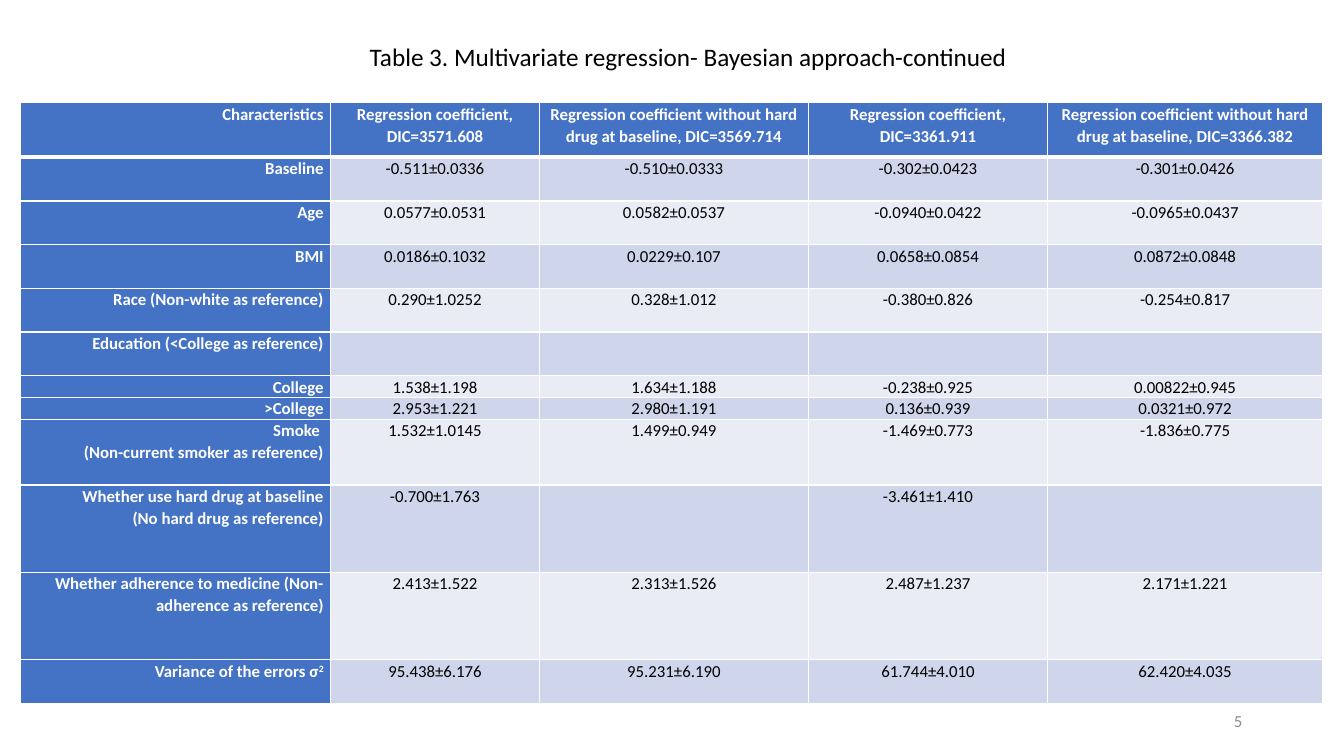
from typing import NamedTuple

from lxml.etree import SubElement
from pptx import Presentation
from pptx.dml.color import RGBColor
from pptx.enum.text import MSO_ANCHOR, MSO_AUTO_SIZE, PP_ALIGN as Align
from pptx.oxml.ns import qn
from pptx.table import Table, _Cell as Cell
from pptx.text.text import TextFrame
from pptx.util import Inches, Pt

WHITE = RGBColor(0xFF, 0xFF, 0xFF)
BLACK = RGBColor(0x00, 0x00, 0x00)
GRAY = RGBColor(0x8C, 0x8C, 0x8C)
BLUE = RGBColor(0x44, 0x72, 0xC4)
BANDS = RGBColor(0xCF, 0xD5, 0xEA), RGBColor(0xE9, 0xEB, 0xF5)

FONT = "Calibri"
COL_WIDTHS = 3.08, 2.07, 2.67, 2.37, 2.73
HEADER_HEIGHT, BODY_HEIGHT = 0.54, 5.42


class Row(NamedTuple):
    """A characteristic, its height in text lines and its coefficients."""
    label: str
    lines: int
    values: tuple[str, ...]


HEADERS = (
    "Characteristics",
    "Regression coefficient, DIC=3571.608",
    "Regression coefficient without hard drug at baseline, DIC=3569.714",
    "Regression coefficient, DIC=3361.911",
    "Regression coefficient without hard drug at baseline, DIC=3366.382",
)
ROWS = (
    Row("Baseline", 2, ("-0.511±0.0336", "-0.510±0.0333", "-0.302±0.0423", "-0.301±0.0426")),
    Row("Age", 2, ("0.0577±0.0531", "0.0582±0.0537", "-0.0940±0.0422", "-0.0965±0.0437")),
    Row("BMI", 2, ("0.0186±0.1032", "0.0229±0.107", "0.0658±0.0854", "0.0872±0.0848")),
    Row("Race (Non-white as reference)", 2,
        ("0.290±1.0252", "0.328±1.012", "-0.380±0.826", "-0.254±0.817")),
    Row("Education (<College as reference)", 2, ("", "", "", "")),
    Row("College", 1, ("1.538±1.198", "1.634±1.188", "-0.238±0.925", "0.00822±0.945")),
    Row(">College", 1, ("2.953±1.221", "2.980±1.191", "0.136±0.939", "0.0321±0.972")),
    Row("Smoke \n(Non-current smoker as reference)", 3,
        ("1.532±1.0145", "1.499±0.949", "-1.469±0.773", "-1.836±0.775")),
    Row("Whether use hard drug at baseline\n(No hard drug as reference)", 4,
        ("-0.700±1.763", "", "-3.461±1.410", "")),
    Row("Whether adherence to medicine (Non-adherence as reference)", 4,
        ("2.413±1.522", "2.313±1.526", "2.487±1.237", "2.171±1.221")),
    Row("Variance of the errors σ^2", 2,
        ("95.438±6.176", "95.231±6.190", "61.744±4.010", "62.420±4.035")),
)


def write_text(tf: TextFrame, text: str, *, size: float = 12, color: RGBColor = BLACK,
               bold: bool = False, align: Align = Align.CENTER, spacing: float = 1.07) -> None:
    """Write one paragraph per line of text; what follows ^ is superscript."""
    for i, line in enumerate(text.split("\n")):
        p = tf.add_paragraph() if i else tf.paragraphs[0]
        p.alignment, p.line_spacing = align, spacing
        p.font.size = Pt(size)
        base, _, raised = line.partition("^")
        for part in filter(None, (base, raised)):
            r = p.add_run()
            r.text = part
            r.font.name, r.font.size, r.font.bold = FONT, Pt(size), bold
            r.font.color.rgb = color
            if part is raised:
                r.font._element.set("baseline", "30000")


def draw_borders(cell: Cell, top: float, bottom: float) -> None:
    """Give the cell white borders, 1 pt at the sides."""
    tc_pr = cell._tc.get_or_add_tcPr()
    for side, width in (("L", 1), ("R", 1), ("T", top), ("B", bottom)):
        ln = SubElement(tc_pr, qn(f"a:ln{side}"), w=str(Pt(width)))
        fill = SubElement(ln, qn("a:solidFill"))
        SubElement(fill, qn("a:srgbClr"), val=str(WHITE))


def fill_row(table: Table, i: int, texts: tuple[str, ...]) -> None:
    """Write and format row i; row 0 is the header."""
    for j, text in enumerate(texts):
        cell = table.cell(i, j)
        heading = i == 0 or j == 0
        cell.margin_left = cell.margin_right = Inches(0.07)
        cell.margin_top = cell.margin_bottom = 0
        draw_borders(cell, top=3 if i == 1 else 1, bottom=3 if i == 0 else 1)
        cell.fill.solid()
        cell.fill.fore_color.rgb = BLUE if heading else BANDS[(i - 1) % 2]
        write_text(cell.text_frame, text, bold=heading, color=WHITE if heading else BLACK,
                   align=Align.CENTER if j else Align.RIGHT)


prs = Presentation()
prs.slide_width, prs.slide_height = Inches(13.33), Inches(7.5)
s = prs.slides.add_slide(prs.slide_layouts[5])

title = s.shapes.title
title.left, title.top, title.width, title.height = map(Inches, (3.51, 0.34, 6.65, 0.43))
tf = title.text_frame
tf.word_wrap, tf.auto_size = False, MSO_AUTO_SIZE.SHAPE_TO_FIT_TEXT
tf.vertical_anchor = MSO_ANCHOR.TOP
write_text(tf, "\u00a0Table 3. Multivariate regression- Bayesian approach-continued",
           size=18, align=Align.LEFT)

table = s.shapes.add_table(len(ROWS) + 1, len(HEADERS), Inches(0.2), Inches(1.02),
                           Inches(sum(COL_WIDTHS)), Inches(HEADER_HEIGHT + BODY_HEIGHT)).table
table.first_col = True
for column, width in zip(table.columns, COL_WIDTHS):
    column.width = Inches(width)

line_height = BODY_HEIGHT / sum(row.lines for row in ROWS)
table.rows[0].height = Inches(HEADER_HEIGHT)
fill_row(table, 0, HEADERS)
for i, row in enumerate(ROWS, start=1):
    table.rows[i].height = Inches(row.lines * line_height)
    fill_row(table, i, (row.label, *row.values))

number = s.shapes.add_textbox(Inches(9.42), Inches(6.95), Inches(3), Inches(0.4))
tf = number.text_frame
tf.word_wrap, tf.vertical_anchor = True, MSO_ANCHOR.MIDDLE
write_text(tf, "5", color=GRAY, align=Align.RIGHT, spacing=1.0)

prs.save("out.pptx")
